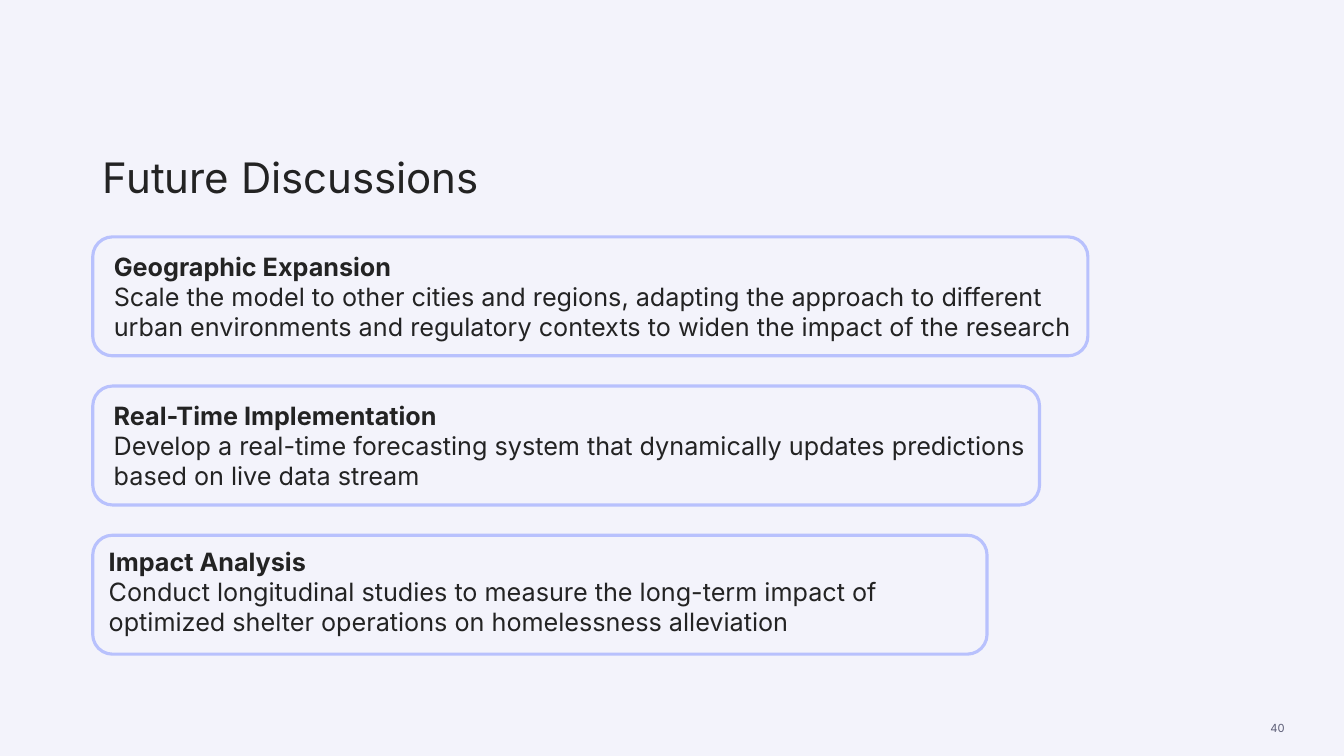
from pptx import Presentation
from pptx.dml.color import RGBColor
from pptx.enum.shapes import MSO_SHAPE
from pptx.enum.text import MSO_ANCHOR, MSO_AUTO_SIZE, PP_ALIGN
from pptx.util import Inches, Pt

BACKGROUND = RGBColor(0xF3, 0xF3, 0xFB)
INK = RGBColor(0x23, 0x23, 0x23)
OUTLINE = RGBColor(0xB8, 0xC1, 0xFD)
MUTED = RGBColor(0x5C, 0x5D, 0x76)
FONT = "Inter"

LEFT = 0.92
CARD_TOP = 2.35
CARD_HEIGHT = 1.18
CARD_PITCH = 1.48

# Card width, text inset from left and top, text width, heading, body
DISCUSSIONS = [
    (9.87, 0.11, 0.09, 9.75, "Geographic Expansion",
     "Scale the model to other cities and regions, adapting the approach to different "
     "urban environments and regulatory contexts to widen the impact of the research"),
    (9.39, 0.11, 0.09, 9.56, "Real-Time Implementation",
     "Develop a real-time forecasting system that dynamically updates predictions "
     "based on live data stream"),
    (8.87, 0.06, 0.06, 8.81, "Impact Analysis",
     "Conduct longitudinal studies to measure the long-term impact of "
     "optimized shelter operations on homelessness alleviation"),
]


def style_runs(paragraph, size, color, bold=False):
    """Format every run of a paragraph."""
    for run in paragraph.runs:
        run.font.name = FONT
        run.font.size = Pt(size)
        run.font.bold = bold
        run.font.color.rgb = color


def add_title(slide, left, top, width, height):
    """Place the slide title in the title placeholder."""
    title = slide.shapes.title
    title.left, title.top = Inches(left), Inches(top)
    title.width, title.height = Inches(width), Inches(height)
    frame = title.text_frame
    frame.text = "Future Discussions"
    frame.vertical_anchor = MSO_ANCHOR.BOTTOM
    frame.paragraphs[0].alignment = PP_ALIGN.LEFT
    style_runs(frame.paragraphs[0], 30, INK)


def add_card_outline(slide, left, top, width, height):
    """Draw the rounded outline of one card."""
    card = slide.shapes.add_shape(
        MSO_SHAPE.ROUNDED_RECTANGLE,
        Inches(left), Inches(top), Inches(width), Inches(height))
    card.shadow.inherit = False
    card.fill.background()
    card.line.color.rgb = OUTLINE
    card.line.width = Pt(2.25)


def add_card_text(slide, left, top, width, heading, body):
    """Write a bold heading over its description."""
    topic = slide.shapes.add_textbox(
        Inches(left), Inches(top), Inches(width), Inches(1.01))
    frame = topic.text_frame
    frame.word_wrap = True
    frame.auto_size = MSO_AUTO_SIZE.SHAPE_TO_FIT_TEXT
    frame.text = f"{heading}\n{body}"
    for paragraph, bold in zip(frame.paragraphs, (True, False)):
        style_runs(paragraph, 18, INK, bold)


def add_discussions(slide, left, top):
    """Stack the discussion cards at an even pitch."""
    for index, (width, inset_x, inset_y, text_width, heading, body) in enumerate(DISCUSSIONS):
        card_top = top + index * CARD_PITCH
        add_card_outline(slide, left, card_top, width, CARD_HEIGHT)
        add_card_text(slide, left + inset_x, card_top + inset_y, text_width, heading, body)


def add_page_number(slide, left, top, width, height):
    """Write the page number at the lower right."""
    page_number = slide.shapes.add_textbox(
        Inches(left), Inches(top), Inches(width), Inches(height))
    frame = page_number.text_frame
    frame.word_wrap = True
    frame.vertical_anchor = MSO_ANCHOR.MIDDLE
    frame.text = "40"
    frame.paragraphs[0].alignment = PP_ALIGN.RIGHT
    style_runs(frame.paragraphs[0], 8, MUTED)


def main():
    """Build and save the presentation."""
    presentation = Presentation()
    presentation.slide_width = Inches(13.33)
    presentation.slide_height = Inches(7.5)
    slide = presentation.slides.add_slide(presentation.slide_layouts[5])
    slide.background.fill.solid()
    slide.background.fill.fore_color.rgb = BACKGROUND
    add_title(slide, LEFT, 1.12, 9.39, 0.93)
    add_discussions(slide, LEFT, CARD_TOP)
    add_page_number(slide, 10.52, 6.94, 2.32, 0.56)
    presentation.save("out.pptx")


if __name__ == "__main__":
    main()
